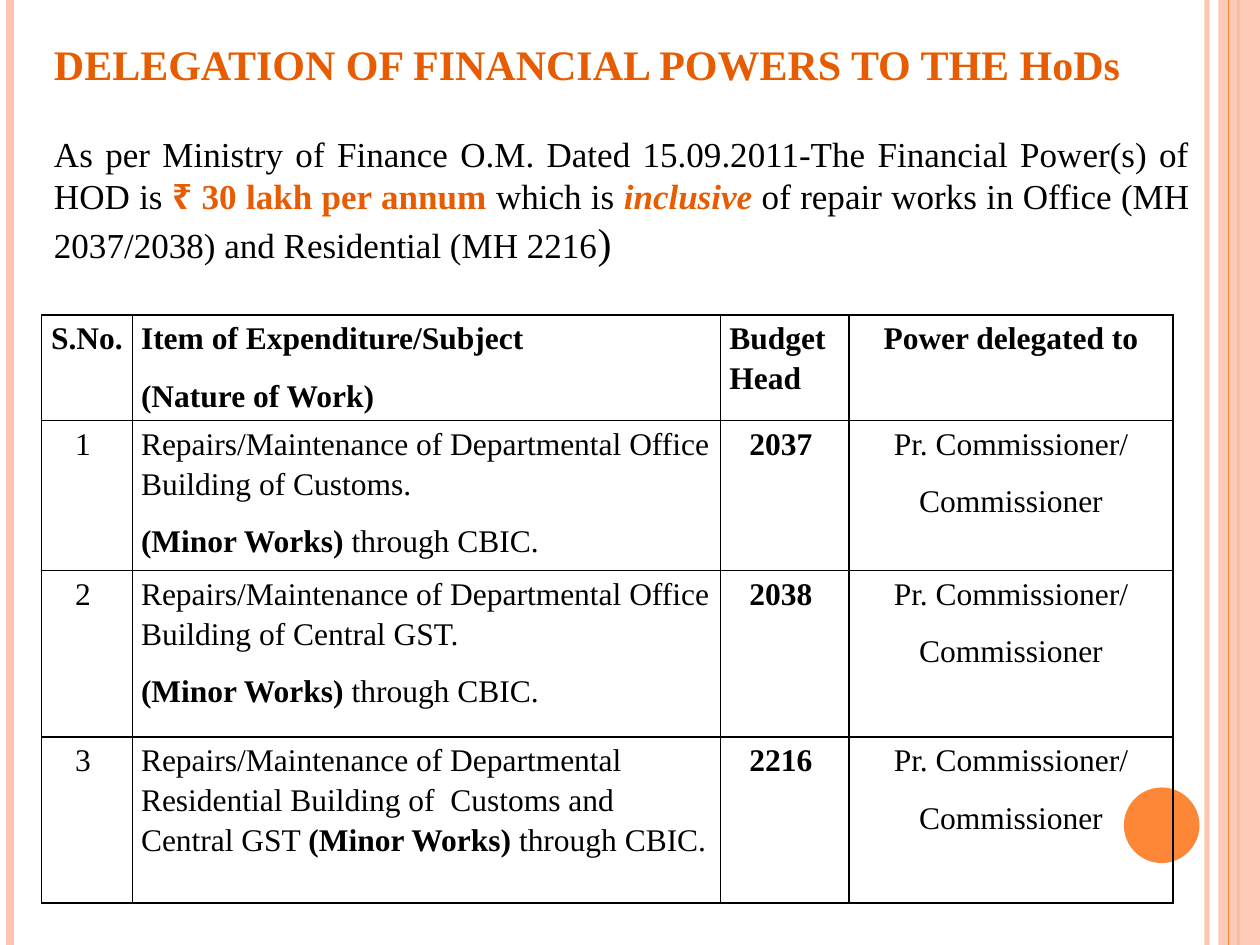
"""Build the slide on financial powers delegated to the heads of department."""
from lxml import etree
from pptx import Presentation
from pptx.dml.color import RGBColor
from pptx.enum import shapes, text
from pptx.oxml import ns
from pptx.util import Inches, Pt

ORANGE, PEACH, ACCENT, BLACK = "FE8637", "FEC3AE", "E75C01", "000000"
SERIF, RUPEE_FONT = "Times New Roman", "TeX Gyre Schola"
CENTER, LEFT, JUSTIFY = text.PP_ALIGN.CENTER, text.PP_ALIGN.LEFT, text.PP_ALIGN.JUSTIFY
BOLD = {"bold": True}
STRONG = {"bold": True, "color": ACCENT}

STRIPES = [(9.58, PEACH, 3, 93), (0.08, PEACH, 4.5, 100), (9.83, ORANGE, 1.5, 100)]
INNER_STRIPE = (9.75, ORANGE, 0.75, 100)

TITLE = "DELEGATION OF FINANCIAL POWERS TO THE HoDs"
INTRO = [
    ("As per Ministry of Finance O.M. Dated 15.09.2011-The Financial Power(s) of HOD is ", {}),
    ("₹", {**STRONG, "font": RUPEE_FONT}),
    (" 30 lakh per annum ", STRONG),
    ("which is ", {}),
    ("inclusive", {**STRONG, "italic": True}),
    (" of repair works in Office (MH 2037/2038) and Residential (MH 2216", {}),
    (")", {"size": 24}),
]

MINOR_WORKS = [("(Minor Works) ", BOLD), ("through CBIC.", {})]
OFFICE = "Repairs/Maintenance of Departmental Office Building of "
RESIDENCE = ("Repairs/Maintenance of Departmental Residential Building of  "
             "Customs and Central GST ")
HEADINGS = [["S.No. "], ["Item of Expenditure/Subject", "(Nature of Work)"],
            ["Budget Head"], ["Power delegated to"]]
HEADING_ALIGNS = [CENTER, LEFT, LEFT, CENTER]
WORKS = [
    ([[(OFFICE + "Customs.", {})], MINOR_WORKS], "2037 "),
    ([[(OFFICE + "Central GST.", {})], MINOR_WORKS], "2038 "),
    ([[(RESIDENCE, {}), *MINOR_WORKS]], "2216 "),
]
DELEGATES = [[("Pr. Commissioner/", {})], [("Commissioner", {})]]
WORK_ALIGNS = [CENTER, LEFT, CENTER, CENTER]
COLUMN_WIDTHS = [0.72, 4.67, 1.02, 2.57]
ROW_HEIGHTS = [0.83, 1.19, 1.32, 1.32]


def rgb(color):
    return RGBColor.from_string(color)


def add_run(paragraph, words, size=18, font=SERIF, color=BLACK, bold=False, italic=False):
    run = paragraph.add_run()
    run.text = words
    run.font.size, run.font.name = Pt(size), font
    run.font.bold, run.font.italic = bold, italic
    run.font.color.rgb = rgb(color)


def set_alpha(part, percent):
    for color in part.iter(ns.qn("a:srgbClr")):
        etree.SubElement(color, ns.qn("a:alpha")).set("val", str(percent * 1000))


def add_stripe(slide, x, color, width, opacity):
    stripe = slide.shapes.add_connector(
        shapes.MSO_CONNECTOR.STRAIGHT, Inches(x), 0, Inches(x), Inches(7.5))
    stripe.line.color.rgb, stripe.line.width = rgb(color), Pt(width)
    properties = stripe._element.spPr
    if opacity < 100:
        set_alpha(properties, opacity)
    etree.SubElement(properties, ns.qn("a:effectLst"))


def add_plain(slide, preset, box, color):
    plain = slide.shapes.add_shape(preset, *map(Inches, box))
    plain.shadow.inherit = False
    plain.fill.solid()
    plain.fill.fore_color.rgb = rgb(color)
    plain.line.fill.background()
    return plain


def add_border(cell):
    properties = cell._tc.get_or_add_tcPr()
    for position, side in enumerate(("a:lnL", "a:lnR", "a:lnT", "a:lnB")):
        line = etree.Element(ns.qn(side), w=str(Pt(1)))
        fill = etree.SubElement(line, ns.qn("a:solidFill"))
        etree.SubElement(fill, ns.qn("a:srgbClr"), val=BLACK)
        properties.insert(position, line)


def fill_cell(cell, paragraphs, align):
    cell.fill.background()
    cell.margin_left = cell.margin_right = Inches(0.07)
    cell.margin_top, cell.margin_bottom = Inches(0.01), 0
    add_border(cell)
    for index, runs in enumerate(paragraphs):
        frame = cell.text_frame
        paragraph = frame.add_paragraph() if index else frame.paragraphs[0]
        paragraph.alignment = align
        paragraph.line_spacing, paragraph.space_after = 1.15, Pt(10)
        for words, style in runs:
            add_run(paragraph, words, **style)


def add_decoration(slide):
    for stripe in STRIPES:
        add_stripe(slide, *stripe)
    band = add_plain(slide, shapes.MSO_SHAPE.RECTANGLE, (9.67, 0, 0.33, 7.5), PEACH)
    set_alpha(band._element.spPr, 87)
    add_stripe(slide, *INNER_STRIPE)
    add_plain(slide, shapes.MSO_SHAPE.OVAL, (8.92, 6.25, 0.6, 0.6), ORANGE)


def add_introduction(slide):
    frame = slide.shapes.add_textbox(*map(Inches, (0.33, 0.25, 9.21, 1.92))).text_frame
    frame.word_wrap = True
    frame.vertical_anchor = text.MSO_ANCHOR.MIDDLE
    add_run(frame.paragraphs[0], TITLE, size=24, **STRONG)
    intro = frame.add_paragraph()
    intro.alignment, intro.space_before = JUSTIFY, Pt(25)
    for words, style in INTRO:
        add_run(intro, words, **{"size": 20, **style})


def add_powers_table(slide):
    rows = [([[[(line, BOLD)] for line in heading] for heading in HEADINGS], HEADING_ALIGNS)]
    for number, (work, head) in enumerate(WORKS, 1):
        cells = [[[(f"{number} ", {})]], work, [[(head, BOLD)]], DELEGATES]
        rows.append((cells, WORK_ALIGNS))
    table = slide.shapes.add_table(
        len(rows), len(COLUMN_WIDTHS), Inches(0.33), Inches(2.5),
        Inches(sum(COLUMN_WIDTHS)), Inches(sum(ROW_HEIGHTS))).table
    table.first_row = table.horz_banding = False
    for column, width in zip(table.columns, COLUMN_WIDTHS):
        column.width = Inches(width)
    for row, height, (cells, aligns) in zip(table.rows, ROW_HEIGHTS, rows):
        row.height = Inches(height)
        for cell, paragraphs, align in zip(row.cells, cells, aligns):
            fill_cell(cell, paragraphs, align)


def main():
    deck = Presentation()
    deck.slide_width, deck.slide_height = Inches(10), Inches(7.5)
    slide = deck.slides.add_slide(deck.slide_layouts[6])
    add_decoration(slide)
    add_introduction(slide)
    add_powers_table(slide)
    deck.save("out.pptx")


if __name__ == "__main__":
    main()
